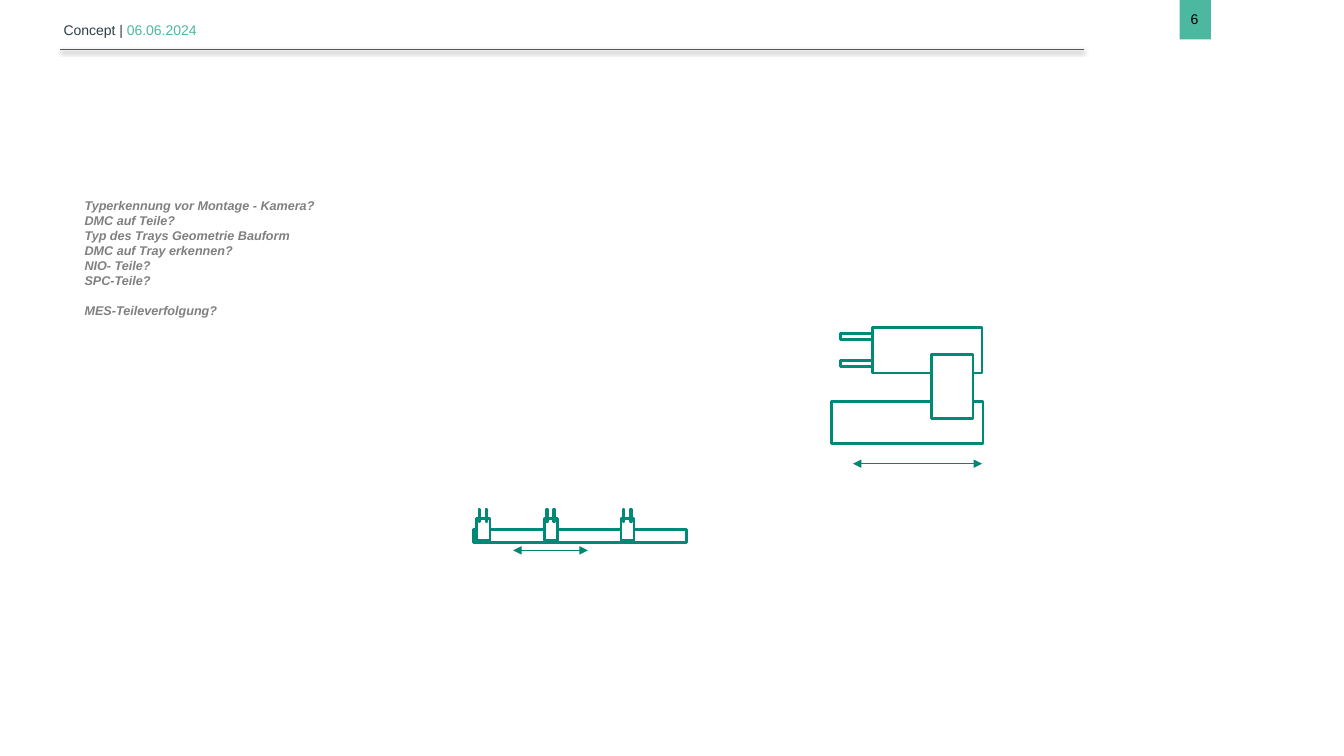
import pptx
import pptx.util
import pptx.dml.color
import pptx.enum.shapes
import pptx.enum.text
import pptx.oxml
import pptx.oxml.ns

Inches = pptx.util.Inches
Pt = pptx.util.Pt
RGB = pptx.dml.color.RGBColor.from_string
NS = pptx.oxml.ns.nsdecls("a")
COLORS = {"mint": "4DB8A0", "slate": "2C3F48", "rule": "595959", "black": "000000",
          "gray": "808080", "white": "FFFFFF", "teal": "008976", "arrow": "008673"}


def add_box(group, left, top, width, height, fill="white", line="teal"):
    box = group.shapes.add_shape(pptx.enum.shapes.MSO_SHAPE.RECTANGLE,
                                 Inches(left), Inches(top), Inches(width), Inches(height))
    box.shadow.inherit = False
    box.fill.solid()
    box.fill.fore_color.rgb = RGB(COLORS[fill])
    if line:
        box.line.color.rgb = RGB(COLORS[line])
        box.line.width = Pt(2)
    else:
        box.line.fill.background()


def add_line(group, start, end, top, color, width, arrows=False, effect=""):
    line = group.shapes.add_connector(pptx.enum.shapes.MSO_CONNECTOR.STRAIGHT,
                                      Inches(start), Inches(top), Inches(end), Inches(top))
    line.line.color.rgb = RGB(COLORS[color])
    line.line.width = Pt(width)
    if arrows:
        stroke = line.line._get_or_add_ln()
        for tag in ("headEnd", "tailEnd"):
            stroke.append(pptx.oxml.parse_xml(f'<a:{tag} {NS} type="triangle"/>'))
    line._element.spPr.append(pptx.oxml.parse_xml(f"<a:effectLst {NS}>{effect}</a:effectLst>"))


deck = pptx.Presentation()
deck.slide_width = Inches(13.33)
deck.slide_height = Inches(7.5)
slide = deck.slides.add_slide(deck.slide_layouts[6])

head = slide.shapes.add_textbox(Inches(0.6), Inches(0.18), Inches(3.51), Inches(0.23))
frame = head.text_frame
frame.word_wrap = True
frame.vertical_anchor = pptx.enum.text.MSO_ANCHOR.MIDDLE
frame.margin_left = frame.margin_right = frame.margin_top = frame.margin_bottom = Inches(0.03)
para = frame.paragraphs[0]
para.font.name = "Arial"
para.font.size = Pt(10)
for text, color in (("Concept | ", "slate"), ("06.06.2024", "mint")):
    run = para.add_run()
    run.text = text
    run.font.color.rgb = RGB(COLORS[color])

add_box(slide, 11.7, 0, 0.31, 0.39, "mint", None)
number = slide.shapes.add_textbox(Inches(11.71), Inches(0.06), Inches(0.8), Inches(0.27))
number.text_frame.word_wrap = True
para = number.text_frame.paragraphs[0]
para.text = "6"
para.font.name = "Arial"
para.font.size = Pt(10)
para.font.color.rgb = RGB(COLORS["black"])

shade = ('<a:outerShdw blurRad="39370" dist="20320" dir="5400000" rotWithShape="0">'
         '<a:srgbClr val="000000"><a:alpha val="38000"/></a:srgbClr></a:outerShdw>')
add_line(slide, 0.6, 10.75, 0.49, "rule", 0.5, effect=shade)

topics = ["Typerkennung vor Montage - Kamera?", "DMC auf Teile?",
          "Typ des Trays Geometrie Bauform", "DMC auf Tray erkennen?",
          "NIO- Teile?", "SPC-Teile?", "MES-Teileverfolgung?"]
notes = slide.shapes.add_textbox(Inches(0.74), Inches(1.91), Inches(2.51), Inches(1.46))
frame = notes.text_frame
frame.word_wrap = False
for index, topic in enumerate(topics):
    para = frame.add_paragraph() if index else frame.paragraphs[0]
    para.text = topic
    para.line_spacing = Pt(10.8)
    para.font.name = "Arial"
    para.font.size = Pt(9)
    para.font.bold = True
    para.font.italic = True
    para.font.color.rgb = RGB(COLORS["gray"])
para.space_before = Pt(10.8)

rail = slide.shapes.add_group_shape()
add_box(rail, 4.7, 5.25, 2.11, 0.13)
for left in (5.4, 4.73, 6.16):
    add_box(rail, left, 5.14, 0.13, 0.22)
    for shift in (0.02, 0.09):
        add_box(rail, left + shift, 5.05, 0.01, 0.13)
add_line(rail, 5.83, 5.09, 5.46, "arrow", 0.75, arrows=True)

grip = slide.shapes.add_group_shape()
add_box(grip, 8.25, 3.98, 1.5, 0.42)
add_box(grip, 8.65, 3.25, 1.09, 0.45)
for top in (3.31, 3.58):
    add_box(grip, 8.34, top, 0.31, 0.06)
add_line(grip, 9.74, 8.46, 4.6, "arrow", 0.75, arrows=True)
add_box(grip, 9.24, 3.52, 0.41, 0.63)

deck.save("out.pptx")
